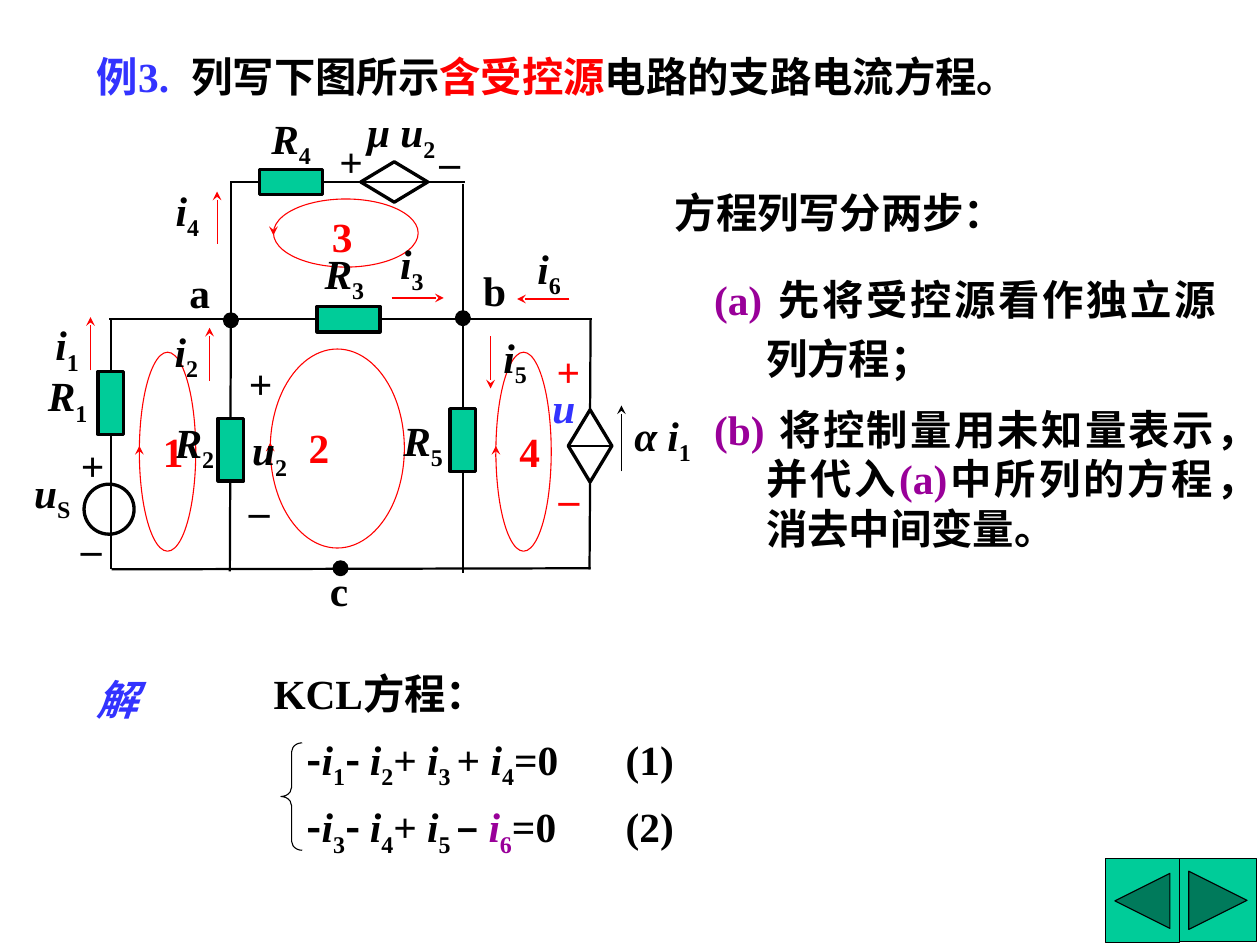
from dataclasses import dataclass

from lxml.etree import SubElement
from pptx import Presentation
from pptx.dml.color import RGBColor
from pptx.enum.shapes import MSO_CONNECTOR, MSO_SHAPE
from pptx.enum.text import MSO_ANCHOR, MSO_AUTO_SIZE, PP_ALIGN
from pptx.oxml.ns import qn
from pptx.util import Pt

PX = 9144  # 100 px to the inch
BLACK = RGBColor(0x00, 0x00, 0x00)
RED = RGBColor(0xFF, 0x00, 0x00)
BLUE = RGBColor(0x33, 0x33, 0xFF)
PURPLE = RGBColor(0x99, 0x00, 0x99)
GREEN = RGBColor(0x00, 0xCC, 0x99)
SERIF, SANS = "Times New Roman", "Noto Sans CJK SC"
TOP, LEFT, BOTTOM, RIGHT = range(4)


@dataclass
class Run:
    text: str
    color: RGBColor = BLACK
    italic: bool = False
    sub: bool = False
    font: str = SERIF


@dataclass
class Label:
    x: int
    y: int
    w: int
    runs: list[Run]


@dataclass
class Part:
    kind: MSO_SHAPE
    x: int
    y: int
    w: int
    h: int
    fill: RGBColor | None = None
    line: RGBColor = BLACK
    weight: float = 0.75


@dataclass
class Line:
    x1: int
    y1: int
    x2: int
    y2: int
    color: RGBColor = BLACK
    weight: float = 1.5
    arrow: bool = False


def var(name: str, sub: str, color: RGBColor = BLACK) -> list[Run]:
    return [Run(name, color, italic=True), Run(sub, color, sub=True)]


def sans(text: str) -> Run:
    return Run(text, font=SANS)


def red_arrow(x1: int, y1: int, x2: int, y2: int) -> Line:
    return Line(x1, y1, x2, y2, RED, 0.75, True)


def resistor(x: int, y: int, w: int, h: int) -> Part:
    return Part(MSO_SHAPE.RECTANGLE, x, y, w, h, GREEN, BLACK, 2.25)


def add_runs(p, runs: list[Run]) -> None:
    for run in runs:
        r = p.add_run()
        r.text = run.text
        f = r.font
        f.size, f.bold, f.italic = Pt(28), True, run.italic
        f.name, f.color.rgb = run.font, run.color
        rPr = r._r.get_or_add_rPr()
        SubElement(rPr, qn("a:ea")).set("typeface", SANS)
        if run.sub:
            rPr.set("baseline", "-25000")


def set_frame(sp):
    tf = sp.text_frame
    tf.word_wrap = True
    tf.auto_size = MSO_AUTO_SIZE.SHAPE_TO_FIT_TEXT
    tf.vertical_anchor = MSO_ANCHOR.TOP
    tf.margin_left = tf.margin_right = 12 * PX
    tf.margin_top = tf.margin_bottom = 6 * PX
    return tf


def add_text(s, x: int, y: int, w: int, h: int, *paragraphs: list[Run]):
    tf = set_frame(s.shapes.add_textbox(x * PX, y * PX, w * PX, h * PX))
    for i, runs in enumerate(paragraphs):
        add_runs(tf.add_paragraph() if i else tf.paragraphs[0], runs)
    return tf


def add_part(s, part: Part):
    sp = s.shapes.add_shape(part.kind, part.x * PX, part.y * PX, part.w * PX, part.h * PX)
    sp.shadow.inherit = False
    if part.fill is None:
        sp.fill.background()
    else:
        sp.fill.solid()
        sp.fill.fore_color.rgb = part.fill
    sp.line.color.rgb, sp.line.width = part.line, Pt(part.weight)
    return sp


def add_line(s, line: Line):
    c = s.shapes.add_connector(MSO_CONNECTOR.STRAIGHT, line.x1 * PX, line.y1 * PX,
                               line.x2 * PX, line.y2 * PX)
    c.line.color.rgb, c.line.width = line.color, Pt(line.weight)
    spPr = c._element.spPr
    if line.arrow:
        SubElement(spPr.find(qn("a:ln")), qn("a:tailEnd")).set("type", "stealth")
    SubElement(spPr, qn("a:effectLst"))
    return c


def add_circuit(s) -> None:
    # Wires that run behind the components
    for wire in (Line(104, 535, 104, 300), Line(216, 537, 217, 298), Line(105, 535, 555, 534),
                 Line(217, 171, 217, 298)):
        add_line(s, wire)

    # Resistors and sources
    for part in (resistor(92, 349, 24, 59), resistor(205, 393, 24, 59),
                 Part(MSO_SHAPE.OVAL, 79, 455, 47, 47, weight=2.25),
                 Part(MSO_SHAPE.DIAMOND, 339, 152, 63, 38, weight=2.25)):
        add_part(s, part)
    r3 = add_part(s, resistor(298, 288, 59, 24))
    r4 = add_part(s, resistor(244, 159, 59, 24))
    r5 = add_part(s, resistor(423, 384, 24, 59))
    source = add_part(s, Part(MSO_SHAPE.DIAMOND, 534, 385, 41, 68, weight=2.25))
    add_line(s, Line(534, 419, 574, 419))

    # Wires joined to a component
    for sp, side, wire in ((r3, LEFT, Line(298, 300, 102, 300)),
                           (r3, RIGHT, Line(357, 300, 556, 300)),
                           (r4, LEFT, Line(244, 171, 216, 171)),
                           (r4, RIGHT, Line(303, 171, 437, 171)),
                           (r5, TOP, Line(435, 384, 435, 173)),
                           (r5, BOTTOM, Line(435, 443, 435, 538)),
                           (source, TOP, Line(555, 385, 555, 300)),
                           (source, BOTTOM, Line(554, 453, 554, 535))):
        add_line(s, wire).begin_connect(sp, side)

    # Nodes and loops
    for x, y in ((210, 294), (428, 292), (313, 527)):
        add_part(s, Part(MSO_SHAPE.OVAL, x, y, 14, 14, BLACK))
    for x, y, w, h in ((131, 331, 53, 187), (254, 328, 126, 187),
                       (257, 187, 136, 64), (466, 331, 52, 187)):
        add_part(s, Part(MSO_SHAPE.OVAL, x, y, w, h, line=RED))

    # Loop directions, then branch currents
    for arrow in (red_arrow(131, 429, 131, 419), red_arrow(254, 426, 254, 416),
                  red_arrow(257, 218, 257, 221), red_arrow(466, 429, 466, 419),
                  red_arrow(85, 348, 85, 298), red_arrow(197, 358, 197, 308),
                  red_arrow(368, 280, 417, 280), red_arrow(204, 229, 204, 180),
                  red_arrow(461, 316, 461, 365), red_arrow(535, 281, 486, 281),
                  Line(584, 443, 584, 381, BLACK, 0.75, True)):
        add_line(s, arrow)

    # Labels
    labels = [
        Label(40, 294, 58, var("i", "1")), Label(152, 300, 58, var("i", "2")),
        Label(364, 218, 59, var("i", "3")), Label(153, 168, 77, var("i", "4")),
        Label(461, 306, 58, var("i", "5")), Label(493, 222, 56, var("i", "6")),
        Label(33, 342, 76, var("R", "1")), Label(152, 386, 82, var("R", "2")),
        Label(293, 227, 77, var("R", "3")), Label(243, 100, 77, var("R", "4")),
        Label(367, 384, 77, var("R", "5")), Label(20, 433, 68, var("u", "S")),
        Label(225, 393, 68, var("u", "2")), Label(333, 94, 95, var("μ u", "2")),
        Label(584, 379, 101, var("α i", "1")), Label(507, 353, 68, [Run("u", BLUE, True)]),
        Label(166, 245, 43, [Run("a")]), Label(442, 243, 45, [Run("b")]),
        Label(298, 525, 41, [Run("c")]),
    ]
    for text, x, y, w in (("1", 141, 394, 37), ("2", 278, 391, 86), ("3", 300, 192, 93),
                          ("4", 476, 394, 35), ("+", 511, 319, 44), ("–", 513, 439, 46)):
        labels.append(Label(x, y, w, [Run(text, RED)]))
    for text, x, y in (("+", 64, 408), ("–", 64, 486), ("+", 307, 122), ("–", 401, 122),
                       ("+", 222, 331), ("–", 222, 450)):
        labels.append(Label(x, y, 46, [Run(text)]))
    for label in labels:
        add_text(s, label.x, label.y, label.w, 59, label.runs)


def add_steps(s) -> None:
    add_text(s, 622, 170, 355, 59, [Run("方程列写分两步：")])
    tf = add_text(
        s, 659, 242, 496, 288,
        [Run("(a) ", PURPLE), Run("先将受控源看作独立源列方程；")],
        [Run("(b) ", PURPLE), Run("将控制量用未知量表示，并代入"), Run("(a)", PURPLE),
         Run("中所列的方程，消去中间变量。")])
    for p in tf.paragraphs:
        p.alignment = PP_ALIGN.JUSTIFY
        pPr = p._p.get_or_add_pPr()
        pPr.set("marL", str(49 * PX))
        pPr.set("indent", str(-49 * PX))
    tf.paragraphs[0].line_spacing = 1.2
    tf.paragraphs[1].space_before = Pt(14)


def add_equations(s) -> None:
    add_text(s, 79, 627, 81, 59, [Run("解", BLUE, True)])
    add_text(s, 245, 622, 225, 59, [Run("KCL方程：")])
    tf = add_text(
        s, 276, 673, 424, 124,
        [sans("-"), *var("i", "1"), sans("- "), *var("i", "2"), Run("+ "), *var("i", "3 "),
         Run("+ "), *var("i", "4"), Run("=0\t(1)")],
        [sans("-"), *var("i", "3"), sans("- "), *var("i", "4"), Run("+ "), *var("i", "5 "),
         sans("– "), *var("i", "6", PURPLE), Run("=0\t(2)")])
    for p in tf.paragraphs:
        tabs = SubElement(p._p.get_or_add_pPr(), qn("a:tabLst"))
        SubElement(tabs, qn("a:tab"), pos=str(300 * PX), algn="l")
        p.line_spacing = 1.2
    brace = add_part(s, Part(MSO_SHAPE.LEFT_BRACE, 264, 698, 20, 101))
    brace.adjustments[0] = 0.43


def main() -> None:
    prs = Presentation()
    prs.slide_width, prs.slide_height = 1184 * PX, 888 * PX
    s = prs.slides.add_slide(prs.slide_layouts[5])

    # Title
    title = s.shapes.title
    title.left, title.top, title.width, title.height = 168 * PX, 42 * PX, 829 * PX, 59 * PX
    p = set_frame(title).paragraphs[0]
    p.alignment = PP_ALIGN.LEFT
    add_runs(p, [Run("列写下图所示"), Run("含受控源", RED), Run("电路的支路电流方程。")])
    add_text(s, 79, 42, 126, 59, [Run("例3.", BLUE)])

    add_circuit(s)
    add_steps(s)
    add_equations(s)

    # Navigation buttons
    add_part(s, Part(MSO_SHAPE.ACTION_BUTTON_FORWARD_OR_NEXT, 1108, 807, 73, 78, GREEN))
    add_part(s, Part(MSO_SHAPE.ACTION_BUTTON_BACK_OR_PREVIOUS, 1039, 807, 69, 79, GREEN))
    prs.save("out.pptx")


if __name__ == "__main__":
    main()
